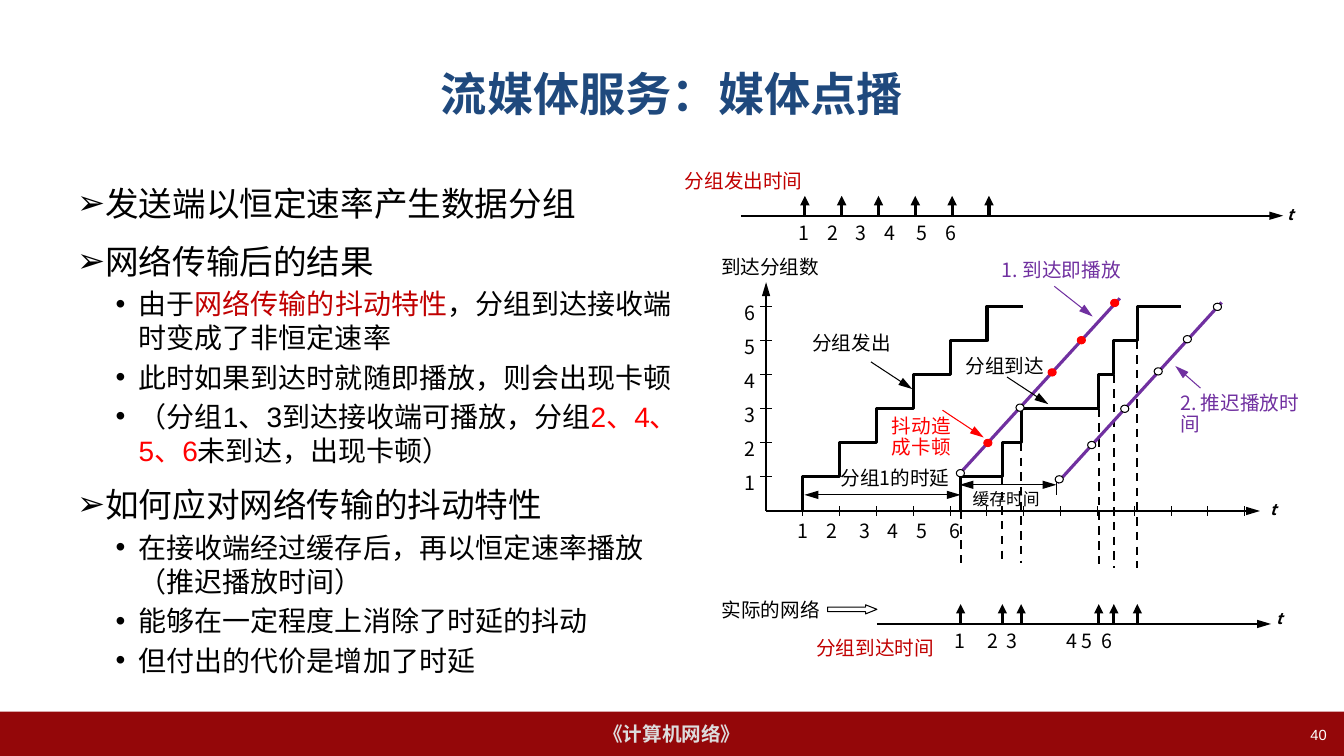
from lxml import etree
from pptx import Presentation
from pptx.dml.color import RGBColor
from pptx.enum.dml import MSO_LINE
from pptx.enum.shapes import MSO_CONNECTOR, MSO_SHAPE
from pptx.enum.text import MSO_ANCHOR, PP_ALIGN
from pptx.oxml.ns import qn
from pptx.util import Pt

STRAIGHT = MSO_CONNECTOR.STRAIGHT
RECTANGLE, ELLIPSE, RIGHT_ARROW = MSO_SHAPE.RECTANGLE, MSO_SHAPE.OVAL, MSO_SHAPE.RIGHT_ARROW
LEFT, CENTER, RIGHT = PP_ALIGN.LEFT, PP_ALIGN.CENTER, PP_ALIGN.RIGHT
MIDDLE = MSO_ANCHOR.MIDDLE
DASH = MSO_LINE.DASH

BLACK, WHITE, RED, DARK_RED = "000000", "FFFFFF", "FF0000", "C00000"
PURPLE, NAVY, MAROON, GREY = "7030A0", "1F497D", "940709", "DDDDDD"


def color(value):
    return RGBColor.from_string(value)


class SlideBuilder:
    latin, chinese = "Arial", "Noto Sans CJK SC"

    def __init__(self, slide):
        self.slide = slide
        self.shapes = slide.shapes

    def style(self, paragraph, size, ink=BLACK, font=None, bold=False, italic=False):
        paragraph.font.size = Pt(size)
        paragraph.font.color.rgb = color(ink)
        paragraph.font.name = font or self.latin
        paragraph.font.bold, paragraph.font.italic = bold, italic
        properties = paragraph._p.get_or_add_pPr().find(qn("a:defRPr"))
        etree.SubElement(properties, qn("a:ea"), typeface=self.chinese)

    def title(self, text, left, top, width, height):
        title = self.shapes.title
        title.left, title.top, title.width, title.height = map(Pt, (left, top, width, height))
        frame = title.text_frame
        frame.text, frame.vertical_anchor = text, MIDDLE
        frame.paragraphs[0].alignment = CENTER
        self.style(frame.paragraphs[0], 33, NAVY, bold=True)

    def text_box(self, left, top, width, height):
        frame = self.shapes.add_textbox(*map(Pt, (left, top, width, height))).text_frame
        frame.word_wrap = True
        return frame

    def label(self, text, left, top, width, height=22, ink=BLACK, size=14, spacing=16,
              align=LEFT, tabs=(), font=None, **emphasis):
        """Add lines of text; tabs are stops measured from the text's left edge."""
        frame = self.text_box(left, top, width, height)
        frame.text = text
        for paragraph in frame.paragraphs:
            paragraph.alignment = align
            paragraph.line_spacing = Pt(spacing)
            if tabs:
                stops = etree.SubElement(paragraph._p.get_or_add_pPr(), qn("a:tabLst"))
                for stop in tabs:
                    etree.SubElement(stops, qn("a:tab"), pos=str(Pt(stop)), algn="l")
            self.style(paragraph, size, ink, font or self.chinese, **emphasis)

    def number_row(self, lefts, top):
        """Write 1, 2, 3 ... at the given left edges."""
        self.label("\t".join(str(n + 1) for n in range(len(lefts))), lefts[0] - 7.2, top, 160,
                   24.5, spacing=18, tabs=[left - lefts[0] for left in lefts[1:]])

    def time_mark(self, left, top):
        self.label("t", left, top, 20, 21, size=11, spacing=13, bold=True, italic=True)

    def bullets(self, items, left, top, width, height):
        """Items are (level, runs); a run is (text, colour or None)."""
        frame = self.text_box(left, top, width, height)
        for index, (level, runs) in enumerate(items):
            paragraph = frame.paragraphs[0] if index == 0 else frame.add_paragraph()
            sign, size, spacing, before, margin, indent = (
                ("•", 20, 24.2, 4, 44, -16.5) if level else ("➢", 24, 29, 12, 20, -20))
            paragraph.level = level
            paragraph.line_spacing = Pt(spacing)
            if index:
                paragraph.space_before = Pt(before)
            properties = paragraph._p.get_or_add_pPr()
            properties.set("marL", str(Pt(margin)))
            properties.set("indent", str(Pt(indent)))
            etree.SubElement(properties, qn("a:buFont"), typeface=self.latin)
            etree.SubElement(properties, qn("a:buChar"), char=sign)
            self.style(paragraph, size)
            for text, ink in runs:
                run = paragraph.add_run()
                run.text = text
                if ink:
                    run.font.color.rgb = color(ink)

    def line(self, start, end, weight=0.75, ink=BLACK, head=False, tail=False, dash=None):
        connector = self.shapes.add_connector(STRAIGHT, *map(Pt, (*start, *end)))
        connector.line.width = Pt(weight)
        connector.line.color.rgb = color(ink)
        if dash:
            connector.line.dash_style = dash
        outline = connector.line._get_or_add_ln()
        for wanted, tag in ((head, "a:headEnd"), (tail, "a:tailEnd")):
            if wanted:
                etree.SubElement(outline, qn(tag), type="triangle", w="med",
                                 len="med" if weight > 2 else "lg")
        etree.SubElement(connector._element.spPr, qn("a:effectLst"))

    def shape(self, kind, left, top, width, height, fill=None, outline=None):
        shape = self.shapes.add_shape(kind, *map(Pt, (left, top, width, height)))
        self.paint(shape, fill, outline, 0.75)
        return shape

    def paint(self, shape, fill, outline, weight):
        shape.shadow.inherit = False
        if fill:
            shape.fill.solid()
            shape.fill.fore_color.rgb = color(fill)
        else:
            shape.fill.background()
        if outline:
            shape.line.color.rgb = color(outline)
            shape.line.width = Pt(weight)
        else:
            shape.line.fill.background()

    def dot(self, x, y, late=False):
        self.shape(ELLIPSE, x - 2.9, y - 2.6, 5.8, 5.2,
                   RED if late else WHITE, RED if late else BLACK)

    def staircase(self, rises, end, base, step):
        """Draw one step up at every x in rises, then run on to end."""
        points = []
        for level, x in enumerate(rises):
            points += [(x, base - level * step), (x, base - (level + 1) * step)]
        points.append((end, points[-1][1]))
        (x, y), *rest = [(Pt(x), Pt(y)) for x, y in points]
        builder = self.shapes.build_freeform(x, y)
        builder.add_line_segments(rest, close=False)
        self.paint(builder.convert_to_shape(), None, BLACK, 2.25)

    def time_line(self, start, end, y, packets):
        self.line((start, y), (end, y), 1.5, tail=True)
        for x in packets:
            self.line((x, y), (x, y - 14.2), 2.25, tail=True)


def draw_chart(b):
    origin, base, unit, level = 547.2, 365, 26.3, 24.35
    sent = [origin + unit * n for n in range(1, 7)]
    arrived = [686.2, 716, 729.4, 784.8, 795.6, 812.4]

    b.time_line(529.2, 916.6, 154.1, [x + 1.4 for x in sent])
    b.label("分组发出时间", 480.2, 118.1, 102.2, ink=DARK_RED, align=CENTER)
    b.number_row([570.4, 591, 611.2, 632, 654.7, 675.4], 153.4)
    b.time_mark(912.2, 143.3)

    b.label("到达分组数", 507.2, 179.3, 86, align=CENTER)
    b.line((origin, 201.6), (origin, base), 1.5, head=True)
    for n in range(1, 7):
        b.line((origin - 4, base - level * n), (origin + 4, base - level * n))
    b.label("6\n5\n4\n3\n2\n1", 524.9, 203.8, 23, 152.6, spacing=24.3)
    b.number_row([569.7, 590.4, 614, 634, 654.7, 678.2], 365.8)
    b.line((origin, base), (900, base), 1.5, tail=True)
    for n in range(1, 14):
        b.line((origin + unit * n, base - 3.4), (origin + unit * n, base + 3.4))
    b.time_mark(900, 354.2)

    b.line((754.6, 339.8), (754.6, 353.5))
    b.label("缓存时间", 687.6, 346.3, 64, 20, size=12, spacing=14)
    b.line((685.4, 346.3), (754.6, 346.3), head=True, tail=True)
    b.label("2. 推迟播放时间", 835.9, 277.2, 105, ink=PURPLE, spacing=15.2)
    b.line((857.5, 277.2), (839.5, 261.4), ink=PURPLE, tail=True)

    b.staircase(sent, 730.8, base, level)
    b.label("分组发出", 573.1, 234, 71.3)
    b.line((622.1, 258.5), (651.6, 277.9), tail=True)
    b.staircase(arrived, 843.8, base, level)
    b.line((574.6, 353.5), (686.2, 353.5), head=True, tail=True)
    b.label("分组1的时延", 593.3, 331.2, 93.6, spacing=15.2)

    network = b.shape(RIGHT_ARROW, 591.1, 432, 35.3, 6.5, outline=BLACK)
    network.adjustments[0], network.adjustments[1] = 0.5, 1.25
    b.time_line(626.4, 907.9, 445.7, arrived)
    b.label("分组到达时间", 576, 451.4, 99.4, ink=DARK_RED)
    b.number_row([681.8, 705.4, 719, 761.8, 772.5, 786.8], 444.2)
    b.time_mark(904.3, 432)
    b.label("实际的网络", 508.3, 424.1, 86)

    b.line((685.4, 338.4), (799.9, 213.1), 2.25, PURPLE)
    for x, y, late in ((686, 338, False), (705.6, 316.4, True), (728.6, 291.2, False),
                       (751.5, 266, True), (772.4, 243, True), (796.2, 216.4, True)):
        b.dot(x, y, late)
    b.label("1. 到达即播放", 708.5, 182.2, 100.8, ink=PURPLE, spacing=15.2)
    b.line((753.1, 204.5), (780.5, 226.1), ink=PURPLE, tail=True)
    for n, x in enumerate(arrived):
        b.line((x, base - level * max(n, 0)), (x, 402 if n < 3 else 405.4), 1.5, dash=DASH)

    b.label("分组到达", 682.6, 249.8, 73.4)
    b.line((719.3, 269.3), (748.8, 288.7), tail=True)
    b.line((755.3, 344.9), (872.6, 216), 2.25, PURPLE)
    for x, y in ((756.6, 342.4), (779.8, 317.9), (803.4, 292),
                 (827.3, 265.3), (848.1, 242.3), (869.6, 219.2)):
        b.dot(x, y)
    b.label("抖动造成卡顿", 630, 293.8, 61.2, 38.2, RED, spacing=15.2)
    b.line((673.2, 293), (702.7, 312.5), ink=RED, tail=True)


def main():
    presentation = Presentation()
    presentation.slide_width, presentation.slide_height = Pt(960), Pt(540)
    b = SlideBuilder(presentation.slides.add_slide(presentation.slide_layouts[5]))
    footer = b.shape(RECTANGLE, 0, 508.3, 960, 31.7, MAROON).text_frame
    footer.text, footer.vertical_anchor = "《计算机网络》", MIDDLE
    footer.paragraphs[0].alignment = CENTER
    b.style(footer.paragraphs[0], 14, GREY, bold=True)
    b.title("流媒体服务：媒体点播", 48, 21.6, 864, 90)
    b.bullets([
        (0, [("发送端以恒定速率产生数据分组", None)]),
        (0, [("网络传输后的结果", None)]),
        (1, [("由于", None), ("网络传输的抖动特性", DARK_RED),
             ("，分组到达接收端时变成了非恒定速率", None)]),
        (1, [("此时如果到达时就随即播放，则会出现卡顿", None)]),
        (1, [("（分组1、3到达接收端可播放，分组", None), ("2、4、5、6", RED),
             ("未到达，出现卡顿）", None)]),
        (0, [("如何应对网络传输的抖动特性", None)]),
        (1, [("在接收端经过缓存后，再以恒定速率播放（推迟播放时间）", None)]),
        (1, [("能够在一定程度上消除了时延的抖动", None)]),
        (1, [("但付出的代价是增加了时延", None)]),
    ], 48, 127, 445.7, 356.4)
    draw_chart(b)
    b.label("40", 730.8, 514.8, 223.9, 25.2, WHITE, 10.5, 13, RIGHT, font=b.latin)
    presentation.save("out.pptx")


if __name__ == "__main__":
    main()
